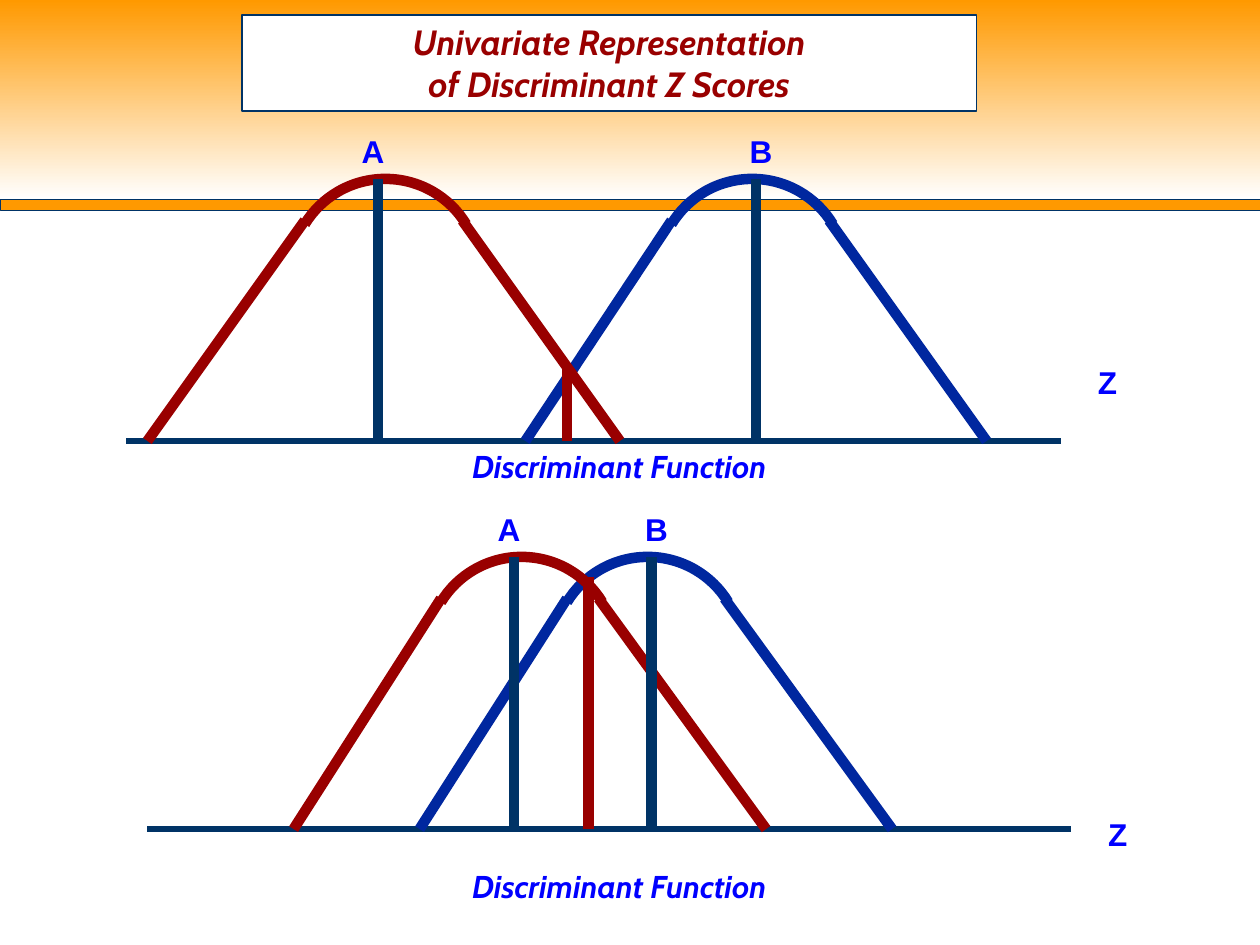
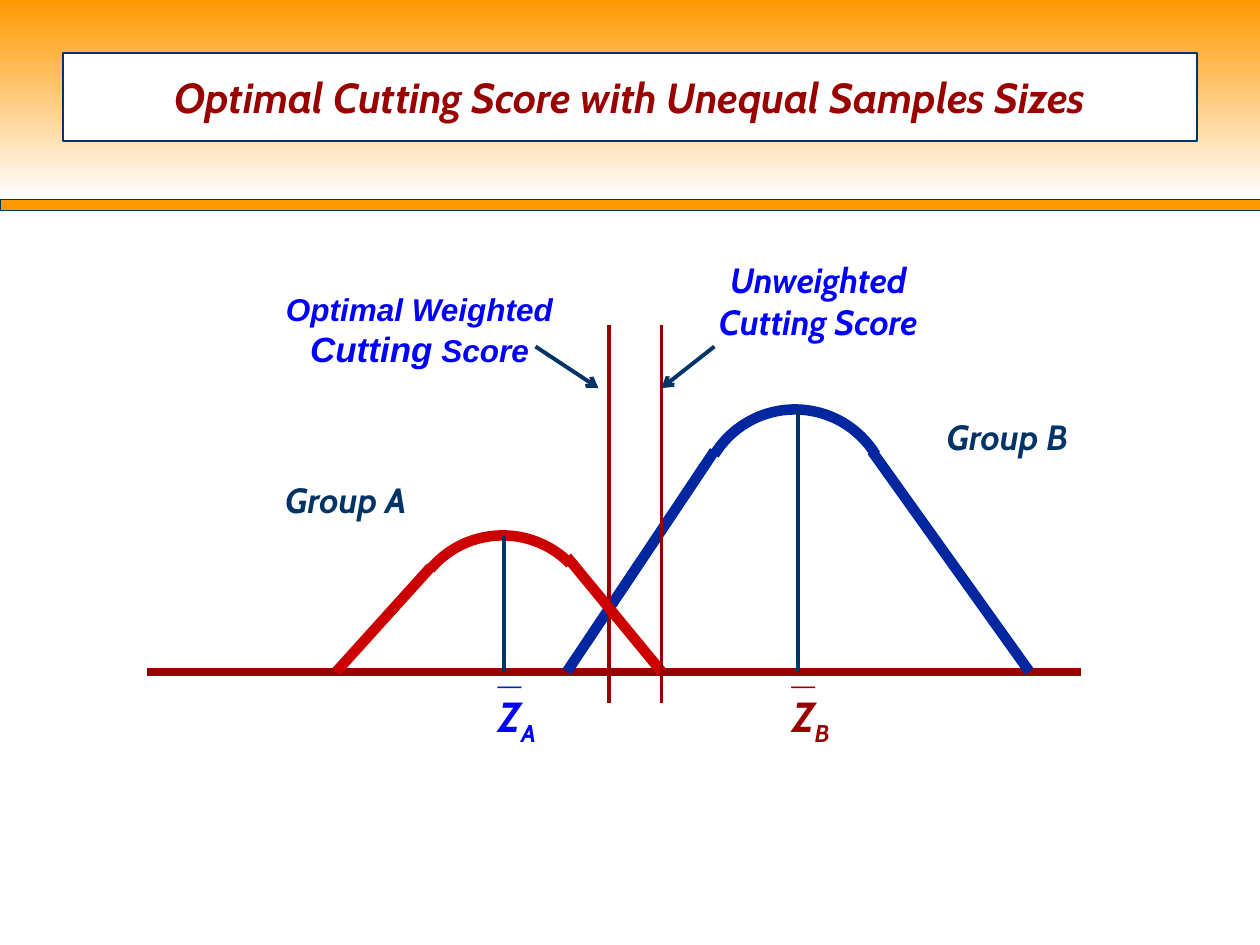
import lxml.etree
import pptx
import pptx.dml.color
import pptx.enum.shapes
import pptx.enum.text
import pptx.oxml.ns
import pptx.util

Inches = pptx.util.Inches
Shapes = pptx.enum.shapes.MSO_SHAPE
ORANGE, WHITE, NAVY = "FF9900", "FFFFFF", "003366"
MAROON, RED, BLUE, BRIGHT_BLUE = "990000", "CC0000", "00279F", "0000FF"
ARC_SIZE = 1.5
WIDE_ARC = (211.4, 328.6)
LOW_ARC = (220.1, 315.5)


def rgb(color):
    """Turn a hex string into a colour."""
    return pptx.dml.color.RGBColor.from_string(color)


def add_panel(page, left, top, width, height, fill, outline=None, weight=1):
    """Add a rectangle with a plain fill and an optional outline."""
    panel = page.shapes.add_shape(
        Shapes.RECTANGLE, Inches(left), Inches(top), Inches(width), Inches(height))
    panel.shadow.inherit = False
    panel.fill.solid()
    panel.fill.fore_color.rgb = rgb(fill)
    if outline:
        panel.line.color.rgb = rgb(outline)
        panel.line.width = pptx.util.Pt(weight)
    else:
        panel.line.fill.background()
    return panel


def add_page(deck):
    """Add a page with the orange gradient band and the rule under it."""
    page = deck.slides.add_slide(deck.slide_layouts[6])
    add_panel(page, 0, 1.58, 10, 0.09, ORANGE, NAVY, 0.25)
    band = add_panel(page, 0, 0, 10, 1.58, ORANGE)
    band.fill.gradient()
    band.fill.gradient_angle = 270
    for stop, color, position in zip(band.fill.gradient_stops, (ORANGE, WHITE), (0, 1)):
        stop.color.rgb = rgb(color)
        stop.position = position
    return page


def add_span(para, text, *, size=18, color=BRIGHT_BLUE, font="Cabin",
             italic=True, subscript=False):
    """Add a bold span of text in the given format."""
    span = para.add_run()
    span.text = text
    span.font.name = font
    span.font.size = pptx.util.Pt(size)
    span.font.color.rgb = rgb(color)
    span.font.bold = True
    span.font.italic = italic
    if subscript:
        span._r.get_or_add_rPr().set("baseline", "-25000")


def center(para):
    """Centre a paragraph."""
    para.alignment = pptx.enum.text.PP_ALIGN.CENTER
    return para


def add_box(page, left, top, width, height):
    """Add a wrapping text box and return its text frame."""
    box = page.shapes.add_textbox(
        Inches(left), Inches(top), Inches(width), Inches(height))
    box.text_frame.word_wrap = True
    return box.text_frame


def add_label(page, text, left, top, width, height=0.4, **style):
    """Add a centred label in one format."""
    frame = add_box(page, left, top, width, height)
    add_span(center(frame.paragraphs[0]), text, **style)


def add_letter(page, letter, left, top):
    """Add an upright one-letter label."""
    add_label(page, letter, left, top, 0.58, font="Arial", italic=False)


def add_title(page, lines, left, top, width, height, size):
    """Add the framed title, one paragraph a line."""
    frame = add_panel(page, left, top, width, height, WHITE, NAVY).text_frame
    frame.word_wrap = True
    frame.vertical_anchor = pptx.enum.text.MSO_ANCHOR.MIDDLE
    for index, line in enumerate(lines):
        para = frame.add_paragraph() if index else frame.paragraphs[0]
        add_span(center(para), line, size=size, color=MAROON)


def add_line(page, start, end, color, weight, arrow=False):
    """Add a straight line, with an arrowhead at its end if asked."""
    line = page.shapes.add_connector(
        pptx.enum.shapes.MSO_CONNECTOR.STRAIGHT,
        *(Inches(value) for value in (*start, *end)))
    line.line.color.rgb = rgb(color)
    line.line.width = pptx.util.Pt(weight)
    if arrow:
        head = lxml.etree.SubElement(
            line.line._get_or_add_ln(), pptx.oxml.ns.qn("a:tailEnd"))
        head.set("type", "arrow")
    lxml.etree.SubElement(line._element.spPr, pptx.oxml.ns.qn("a:effectLst"))


def add_upright(page, x, top, bottom, color, weight):
    """Add a vertical line."""
    add_line(page, (x, top), (x, bottom), color, weight)


def add_curve(page, color, crown, left_side, right_side, angles=WIDE_ARC):
    """Add a bell curve: an arc at crown and two sides from shoulder to foot."""
    arc = page.shapes.add_shape(
        Shapes.ARC, Inches(crown[0]), Inches(crown[1]),
        Inches(ARC_SIZE), Inches(ARC_SIZE))
    arc.shadow.inherit = False
    arc.fill.background()
    arc.line.color.rgb = rgb(color)
    arc.line.width = pptx.util.Pt(6)
    for index, angle in enumerate(angles):
        arc.adjustments[index] = angle * 0.6
    for shoulder, foot in (left_side, right_side):
        add_line(page, shoulder, foot, color, 6)


def add_mean(page, group, left, bar_color, color):
    """Add a Z with a bar above it and the group as subscript."""
    frame = add_box(page, left, 5.25, 0.75, 0.65)
    bar, symbol = center(frame.paragraphs[0]), center(frame.add_paragraph())
    bar.line_spacing = symbol.line_spacing = 0.4
    symbol.space_before = pptx.util.Pt(15)
    symbol._p.get_or_add_pPr().set("marL", str(Inches(0.12)))
    add_span(bar, "_", size=24, color=bar_color, font="Arial", italic=False)
    add_span(symbol, "Z", size=24, color=color)
    add_span(symbol, group, size=24, color=color, subscript=True)


def add_distributions(page, top, base, axis, crowns, feet, means, cut):
    """Add the curves of groups A and B on one axis, with means and cutting score."""
    shoulder = top + 0.33
    add_line(page, (axis[0], base), (axis[1], base), NAVY, 3)
    for group in (1, 0):
        crown = crowns[group]
        left_foot, right_foot = feet[group]
        add_curve(page, (MAROON, BLUE)[group], (crown, top),
                  ((crown + 0.11, shoulder), (left_foot, base)),
                  ((crown + 1.36, shoulder), (right_foot, base)))
    for mean in means:
        add_upright(page, mean, top, base, NAVY, 6)
    add_upright(page, *cut, base, MAROON, 6)


def build_univariate(deck):
    """Build the page that compares distant and close groups."""
    page = add_page(deck)
    add_title(page, ("Univariate Representation", "of Discriminant Z Scores"),
              1.92, 0.12, 5.83, 0.76, 20)
    add_distributions(page, 1.42, 3.5, (1, 8.42), (2.31, 5.22),
                      ((1.17, 4.92), (4.17, 7.83)), (3, 6), (4.5, 2.92))
    add_distributions(page, 4.42, 6.58, (1.17, 8.5), (3.39, 4.39),
                      ((2.33, 6.08), (3.33, 7.08)), (4.08, 5.17), (4.67, 4.58))
    for top in (3.5, 6.83):
        add_label(page, "Discriminant Function", 3.08, top, 3.67)
    for letter, left, top in (("A", 2.67, 1), ("B", 5.75, 1), ("Z", 8.5, 2.83),
                              ("A", 3.75, 4), ("B", 4.92, 4), ("Z", 8.58, 6.42)):
        add_letter(page, letter, left, top)


def build_cutting_score(deck):
    """Build the page on the cutting score for unequal samples."""
    page = add_page(deck)
    base = 5.33
    add_title(page, ("Optimal Cutting Score with Unequal Samples Sizes",),
              0.5, 0.42, 9, 0.7, 24)
    add_line(page, (1.17, base), (8.58, base), MAROON, 4.5)
    add_curve(page, BLUE, (5.56, 3.25),
              ((5.67, 3.58), (4.5, base)), ((6.92, 3.58), (8.17, base)))
    add_upright(page, 4.83, 2.58, 5.58, MAROON, 2.25)
    add_curve(page, RED, (3.24, 4.25),
              ((3.42, 4.5), (2.67, base)), ((4.5, 4.42), (5.25, base)), LOW_ARC)
    add_upright(page, 5.25, 2.58, 5.58, MAROON, 2.25)
    for mean, top in ((4, 4.25), (6.33, 3.25)):
        add_upright(page, mean, top, base, NAVY, 2.25)

    add_label(page, "Group A", 1.83, 3.75, 1.83, 0.44, size=20, color=NAVY)
    add_label(page, "Group B", 7.08, 3.25, 1.83, 0.44, size=20, color=NAVY)
    add_mean(page, "A", 3.67, BLUE, BRIGHT_BLUE)
    add_mean(page, "B", 6, MAROON, MAROON)

    weighted = center(add_box(page, 2.08, 2.25, 2.5, 0.74).paragraphs[0])
    for text, size in (("Optimal Weighted ", 18), ("Cutting", 20), (" Score", 18)):
        add_span(weighted, text, size=size, font="Arial")
    add_label(page, "Unweighted Cutting Score", 5.33, 2, 2.33, 0.77, size=20)
    for start, end in (((4.25, 2.75), (4.75, 3.08)), ((5.67, 2.75), (5.25, 3.08))):
        add_line(page, start, end, NAVY, 2.25, arrow=True)


def main():
    """Build the deck and save it."""
    deck = pptx.Presentation()
    deck.slide_width, deck.slide_height = Inches(10), Inches(7.5)
    build_univariate(deck)
    build_cutting_score(deck)
    deck.save("out.pptx")


if __name__ == "__main__":
    main()
